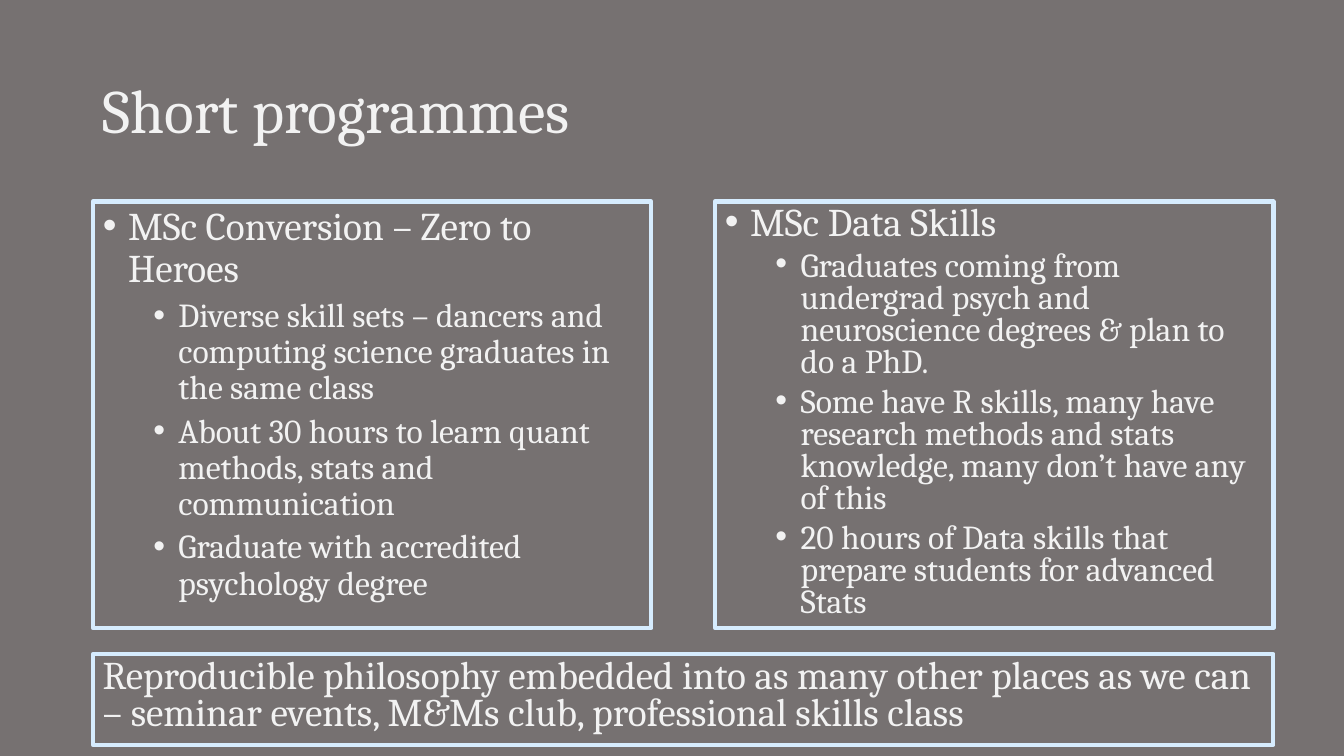
from lxml.etree import SubElement
from pptx import Presentation
from pptx.dml.color import RGBColor
from pptx.enum.text import MSO_ANCHOR, MSO_AUTO_SIZE, PP_ALIGN
from pptx.oxml.ns import qn
from pptx.util import Inches, Pt


def colour(hex_code):
    return RGBColor.from_string(hex_code)


def assign(target, values):
    for name, value in values.items():
        setattr(target, name, value)


class ProgrammeSlide:
    WIDTH, HEIGHT = 13.33, 7.5
    MARGIN, COLUMN, GUTTER = 0.92, 5.54, 0.63
    ROW = HEIGHT / 75
    BACKGROUND, INK, BORDER = "767171", "F2F2F2", "D6ECFE"
    FONT = "Cambria"
    LEVELS = [
        {"size": 28, "before": 10, "indent": 0.25},
        {"size": 24, "before": 5, "indent": 0.75},
    ]
    HANGING = 0.25

    def __init__(self, deck):
        assign(deck, {"slide_width": Inches(self.WIDTH), "slide_height": Inches(self.HEIGHT)})
        self.slide = deck.slides.add_slide(deck.slide_layouts.get_by_name("Two Content"))
        fill = self.slide.background.fill
        fill.solid()
        fill.fore_color.rgb = colour(self.BACKGROUND)

    def area(self, column, span, row, rows):
        return {
            "left": Inches(self.MARGIN + column * (self.COLUMN + self.GUTTER)),
            "top": Inches(row * self.ROW),
            "width": Inches(span * self.COLUMN + (span - 1) * self.GUTTER),
            "height": Inches(rows * self.ROW),
        }

    def border(self, panel):
        panel.fill.background()
        panel.line.color.rgb = colour(self.BORDER)
        panel.line.width = Pt(3)

    def prepare(self, text_frame, anchor=MSO_ANCHOR.TOP):
        assign(text_frame, {
            "word_wrap": True,
            "auto_size": MSO_AUTO_SIZE.NONE,
            "vertical_anchor": anchor,
        })

    def typeset(self, paragraph, text, size, spacing, before=0):
        paragraph.text = text
        assign(paragraph, {
            "alignment": PP_ALIGN.LEFT,
            "line_spacing": spacing,
            "space_before": Pt(before),
        })
        font = paragraph.runs[0].font
        assign(font, {"name": self.FONT, "size": Pt(size)})
        font.color.rgb = colour(self.INK)

    def bullet(self, paragraph, indent):
        properties = paragraph._p.get_or_add_pPr()
        properties.set("marL", str(Inches(indent)))
        properties.set("indent", str(-Inches(self.HANGING)))
        SubElement(properties, qn("a:buFont")).set("typeface", "Arial")
        SubElement(properties, qn("a:buChar")).set("char", "•")

    def title(self, text, area):
        heading = self.slide.shapes.title
        assign(heading, area)
        self.prepare(heading.text_frame, MSO_ANCHOR.MIDDLE)
        self.typeset(heading.text_frame.paragraphs[0], text, 44, 0.9)

    def programme(self, placeholder, entries, area, spacing):
        panel = self.slide.placeholders[placeholder]
        assign(panel, area)
        self.border(panel)
        text_frame = panel.text_frame
        self.prepare(text_frame)
        for number, entry in enumerate(entries):
            paragraph = text_frame.add_paragraph() if number else text_frame.paragraphs[0]
            paragraph.level = min(number, 1)
            style = self.LEVELS[paragraph.level]
            self.typeset(paragraph, entry, style["size"], spacing, style["before"])
            self.bullet(paragraph, style["indent"])

    def summary(self, text, area):
        panel = self.slide.shapes.add_textbox(**area)
        self.border(panel)
        self.prepare(panel.text_frame)
        self.typeset(panel.text_frame.paragraphs[0], text, 28, 0.8, 10)


CONVERSION = [
    "MSc Conversion – Zero to Heroes",
    "Diverse skill sets – dancers and computing science graduates in the same class",
    "About 30 hours to learn quant methods, stats and communication",
    "Graduate with accredited psychology degree",
]
DATA_SKILLS = [
    "MSc Data Skills",
    "Graduates coming from undergrad psych and neuroscience degrees & plan to do a PhD.",
    "Some have R skills, many have research methods and stats knowledge, "
    "many don’t have any of this",
    "20 hours of Data skills that prepare students for advanced Stats",
]

deck = Presentation()
page = ProgrammeSlide(deck)
page.title("Short programmes", page.area(0, 2, 4, 14.5))
for column, (entries, spacing) in enumerate([(CONVERSION, 0.9), (DATA_SKILLS, 0.8)]):
    page.programme(column + 1, entries, page.area(column, 1, 20, 42.3), spacing)
page.summary(
    "Reproducible philosophy embedded into as many other places as we can "
    "– seminar events, M&Ms club, professional skills class",
    page.area(0, 2, 64.9, 9),
)
deck.save("out.pptx")
